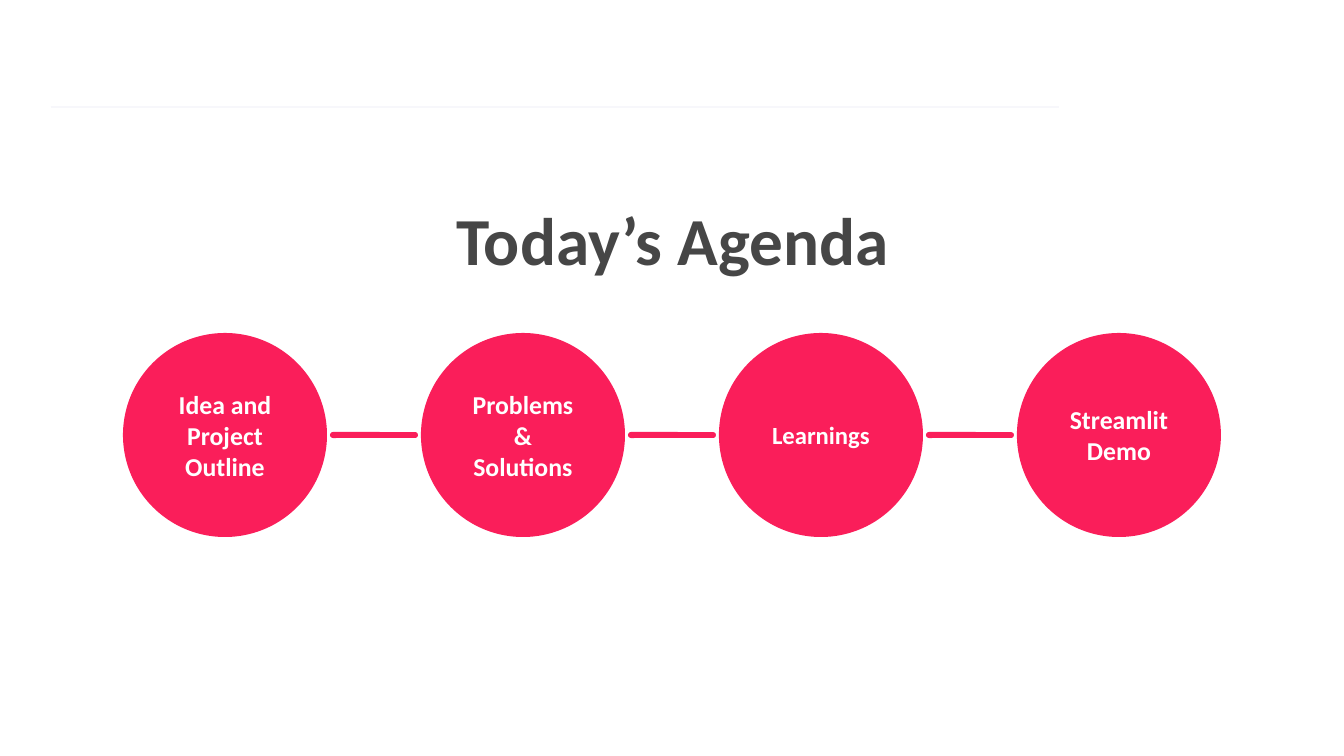
from dataclasses import dataclass

from lxml.etree import SubElement
from pptx import Presentation
from pptx.dml.color import RGBColor
from pptx.enum.shapes import MSO_CONNECTOR, MSO_SHAPE
from pptx.enum.text import MSO_ANCHOR, MSO_AUTO_SIZE, PP_ALIGN
from pptx.oxml.ns import qn
from pptx.shapes.autoshape import Shape
from pptx.slide import Slide
from pptx.util import Emu, Pt

SCALE = 6804


@dataclass(frozen=True)
class Theme:
    font: str = "Calibri"
    accent: RGBColor = RGBColor(0xFA, 0x1E, 0x5A)
    ink: RGBColor = RGBColor(0x46, 0x46, 0x46)
    white: RGBColor = RGBColor(0xFF, 0xFF, 0xFF)
    rule: RGBColor = RGBColor(0xF7, 0xF7, 0xFB)
    title: float = 36
    body: float = 13.8
    small: float = 13.2


@dataclass(frozen=True)
class Box:
    left: int
    top: int
    width: int
    height: int


@dataclass(frozen=True)
class Step:
    text: str
    size: float


THEME = Theme()
STEPS = [
    Step("Idea and Project Outline", THEME.body),
    Step("Problems & Solutions", THEME.body),
    Step("Learnings", THEME.small),
    Step("Streamlit Demo", THEME.body),
]
LEFT, TOP, SIZE, PITCH = 123, 333, 204, 298
GAP, THICK = 3, 6


def px(value: int) -> Emu:
    return Emu(value * SCALE)


def write(shape: Shape, text: str, size: float, color: RGBColor,
          anchor: MSO_ANCHOR, side: int, edge: int) -> None:
    frame = shape.text_frame
    frame.word_wrap = True
    frame.auto_size = MSO_AUTO_SIZE.NONE
    frame.vertical_anchor = anchor
    frame.margin_left = frame.margin_right = px(side)
    frame.margin_top = frame.margin_bottom = px(edge)
    para = frame.paragraphs[0]
    para.alignment = PP_ALIGN.CENTER
    run = para.add_run()
    run.text = text
    run.font.name = THEME.font
    run.font.size = Pt(size)
    run.font.bold = True
    run.font.color.rgb = color


def draw(slide: Slide, kind: MSO_SHAPE, box: Box) -> Shape:
    shape = slide.shapes.add_shape(
        kind, px(box.left), px(box.top), px(box.width), px(box.height))
    shape.shadow.inherit = False
    shape.fill.solid()
    shape.fill.fore_color.rgb = THEME.accent
    shape.line.fill.background()
    return shape


def add_rule(slide: Slide) -> None:
    line = slide.shapes.add_connector(
        MSO_CONNECTOR.STRAIGHT, px(51), px(107), px(1059), px(107))
    line.line.color.rgb = THEME.rule
    line.line.width = Pt(0.75)
    SubElement(line._element.spPr, qn("a:effectLst"))


def add_title(slide: Slide) -> None:
    title = slide.shapes.title
    title.left, title.top = px(380), px(185)
    title.width, title.height = px(585), px(77)
    write(title, "Today’s Agenda", THEME.title, THEME.ink,
          MSO_ANCHOR.TOP, 13, 13)


def add_step(slide: Slide, step: Step, left: int) -> None:
    disc = draw(slide, MSO_SHAPE.OVAL, Box(left, TOP, SIZE, SIZE))
    write(disc, step.text, step.size, THEME.white, MSO_ANCHOR.MIDDLE, 11, 5)


def add_link(slide: Slide, left: int) -> None:
    box = Box(left + SIZE + GAP, TOP + (SIZE - THICK) // 2,
              PITCH - SIZE - 2 * GAP, THICK)
    bar = draw(slide, MSO_SHAPE.ROUNDED_RECTANGLE, box)
    bar.adjustments[0] = 0.5


def main() -> None:
    deck = Presentation()
    deck.slide_width, deck.slide_height = px(1344), px(756)
    slide = deck.slides.add_slide(deck.slide_layouts[5])
    add_rule(slide)
    add_title(slide)
    for i, step in enumerate(STEPS):
        add_step(slide, step, LEFT + i * PITCH)
    for i in range(len(STEPS) - 1):
        add_link(slide, LEFT + i * PITCH)
    deck.save("out.pptx")


if __name__ == "__main__":
    main()
